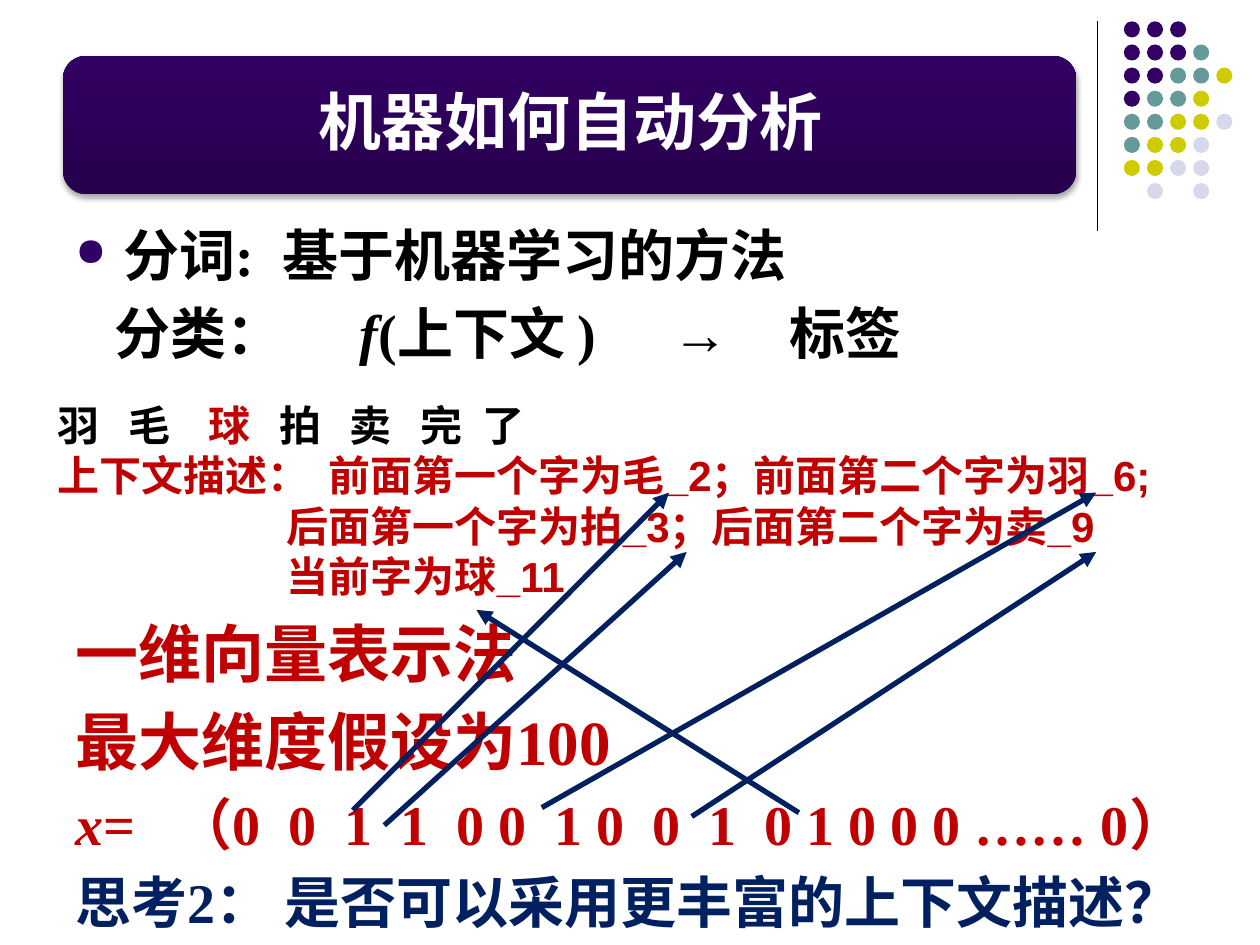
from lxml.etree import SubElement
from pptx import Presentation
from pptx.dml.color import RGBColor
from pptx.enum.shapes import MSO_CONNECTOR as CONNECTOR, MSO_SHAPE as SHAPE
from pptx.enum.text import MSO_ANCHOR as ANCHOR, PP_ALIGN as ALIGN
from pptx.oxml.ns import qn
from pptx.util import Pt

SERIF, SANS = "Times New Roman", "Arial"
BLACK, WHITE, RED, NAVY, PURPLE = "000000", "FFFFFF", "C00000", "002060", "330066"

TITLE = "机器如何自动分析"
VECTOR_STOPS = [58, 122, 154, 186, 218, 274, 330, 362, 394]
BODY = [
    (["分词:  基于机器学习的方法"], dict(size=32, before=6.4, bullet=True)),
    (["\t分类：\t", ("f", dict(italic=True)), "(上下文 )\t→\t标签"],
     dict(size=32, before=6.4, stops=[22.5, 162.5, 341, 408])),
    (["一维向量表示法"], dict(size=36, before=142, color=RED)),
    (["最大维度假设为100"], dict(size=36, before=7.2, color=RED)),
    ([("x", dict(italic=True)), "=\t（0\t0\t1\t1\t0 0\t1 0\t0\t1\t0 1 0 0 0 …… 0）"],
     dict(size=32, before=6.4, color=RED, stops=VECTOR_STOPS)),
    (["思考2： 是否可以采用更丰富的上下文描述？"], dict(size=32, before=6.4, color=NAVY)),
]
CONTEXT = [
    (["羽\t毛\t", ("球", dict(color=RED)), "\t拍\t卖\t完\t了"],
     dict(stops=[40.5, 86, 126.5, 167, 207.5, 242.5])),
    (["上下文描述：\t前面第一个字为毛_2；前面第二个字为羽_6;"], dict(color=RED, stops=[155])),
    (["\t后面第一个字为拍_3；后面第二个字为卖_9"], dict(color=RED, stops=[131])),
    (["\t当前字为球_11"], dict(color=RED, stops=[131])),
]
ARROWS = [
    (201.6, 463, 382.3, 281.5),
    (309.6, 461.5, 626.4, 281.5),
    (219.6, 471.6, 392.4, 315.4),
    (395.3, 466.6, 626.4, 315.4),
    (456.5, 464.4, 272.2, 348.5),
]
DOTS = ["PPP", "PPPT", "PPTTY", "PTTY", "TTYYL", "TYYL", "YYLL", " L L"]
DOT_COLORS = dict(P=PURPLE, T="669999", Y="CCCC00", L="D8D8EC")
DOT_LEFT, DOT_TOP, DOT_SIZE, DOT_PITCH = 642.2, 12.2, 9.2, 13.2


def rgb(value):
    """Turn a hex string into a colour."""
    return RGBColor.from_string(value)


def write(para, text, size=24, color=BLACK, font=SERIF, italic=False):
    """Append bold text to a paragraph in the given format."""
    span = para.add_run()
    span.text = text
    span.font.name, span.font.size = font, Pt(size)
    span.font.bold, span.font.italic = True, italic
    span.font.color.rgb = rgb(color)


def set_bullet(para):
    """Give a paragraph a small purple bullet and a hanging indent."""
    props = para._p.get_or_add_pPr()
    props.set("marL", str(Pt(27.4)))
    props.set("indent", str(-Pt(27.4)))
    color = SubElement(props, qn("a:buClr"))
    SubElement(color, qn("a:srgbClr"), val=PURPLE)
    SubElement(props, qn("a:buSzPct"), val="70000")
    SubElement(props, qn("a:buChar"), char="●")


def set_stops(para, stops):
    """Set left tab stops, in points from the text edge."""
    tabs = SubElement(para._p.get_or_add_pPr(), qn("a:tabLst"))
    for stop in stops:
        SubElement(tabs, qn("a:tab"), pos=str(Pt(stop)), algn="l")


def add_text(page, place, content, font):
    """Add a wrapped text box with one paragraph per content item."""
    frame = page.shapes.add_textbox(*map(Pt, place)).text_frame
    frame.word_wrap = True
    for index, (pieces, style) in enumerate(content):
        para = frame.add_paragraph() if index else frame.paragraphs[0]
        para.space_before = Pt(style.get("before", 0))
        if style.get("bullet"):
            set_bullet(para)
        if "stops" in style:
            set_stops(para, style["stops"])
        base = {key: style[key] for key in ("size", "color") if key in style}
        for piece in pieces:
            text, extra = (piece, {}) if isinstance(piece, str) else piece
            write(para, text, **{"font": font, **base, **extra})


def add_line(page, ends, color, width, arrow=False):
    """Add a straight line, with an arrowhead at its end if wanted."""
    line = page.shapes.add_connector(CONNECTOR.STRAIGHT, *map(Pt, ends))
    line.line.color.rgb, line.line.width = rgb(color), Pt(width)
    if arrow:
        SubElement(line.line._get_or_add_ln(), qn("a:tailEnd"), type="triangle")
    SubElement(line._element.spPr, qn("a:effectLst"))


def add_dots(page):
    """Draw the corner grid of coloured dots."""
    for row, codes in enumerate(DOTS):
        for column, code in enumerate(codes):
            if code in DOT_COLORS:
                left, top = DOT_LEFT + column * DOT_PITCH, DOT_TOP + row * DOT_PITCH
                dot = page.shapes.add_shape(
                    SHAPE.OVAL, Pt(left), Pt(top), Pt(DOT_SIZE), Pt(DOT_SIZE))
                dot.shadow.inherit = False
                dot.fill.solid()
                dot.fill.fore_color.rgb = rgb(DOT_COLORS[code])
                dot.line.fill.background()


def add_title(page):
    """Format the title and put a shaded rounded panel behind it."""
    panel = page.shapes.add_shape(SHAPE.ROUNDED_RECTANGLE, Pt(36), Pt(32), Pt(579), Pt(79))
    panel.line.fill.background()
    panel.fill.gradient()
    panel.fill.gradient_angle = 90
    for stop, color in zip(panel.fill.gradient_stops, ("26004C", "320063")):
        stop.color.rgb = rgb(color)
    panel.shadow.inherit = False
    effects = panel._element.spPr.find(qn("a:effectLst"))
    shadow = SubElement(effects, qn("a:outerShdw"), blurRad=str(Pt(3.1)),
                        dist=str(Pt(1.8)), dir="5400000", rotWithShape="0")
    tint = SubElement(shadow, qn("a:srgbClr"), val=BLACK)
    SubElement(tint, qn("a:alpha"), val="35000")

    title = page.shapes.title
    title._element.addprevious(panel._element)
    title.left, title.top, title.width, title.height = map(Pt, (42.5, 36, 566.6, 71.3))
    frame = title.text_frame
    frame.vertical_anchor = ANCHOR.MIDDLE
    frame.margin_left = frame.margin_right = frame.margin_top = frame.margin_bottom = Pt(12)
    para = frame.paragraphs[0]
    para.alignment, para.line_spacing = ALIGN.CENTER, 0.9
    write(para, TITLE, size=36, color=WHITE)


def main():
    """Build the slide and save it."""
    deck = Presentation()
    deck.slide_width, deck.slide_height = Pt(720), Pt(540)
    page = deck.slides.add_slide(deck.slide_layouts[5])
    add_line(page, (627, 12, 627, 132), BLACK, 0.75)
    add_dots(page)
    add_title(page)
    add_text(page, (36, 122.4, 684, 417.6), BODY, SERIF)
    add_text(page, (25.9, 224.6, 658, 123.8), CONTEXT, SANS)
    for ends in ARROWS:
        add_line(page, ends, NAVY, 3, arrow=True)
    deck.save("out.pptx")


if __name__ == "__main__":
    main()
